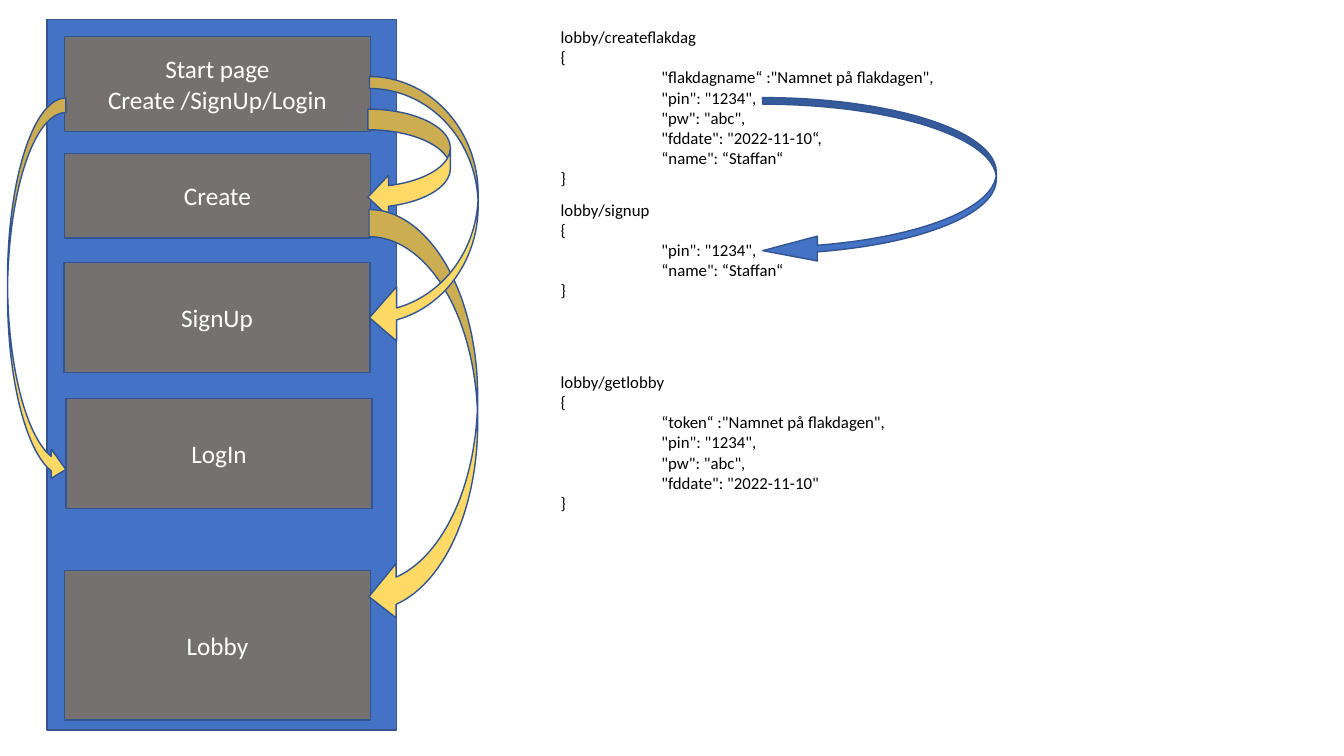
import pptx
import pptx.util
import pptx.dml.color
import pptx.enum.shapes
import pptx.enum.text
import pptx.oxml.ns
import lxml.etree

Cm = pptx.util.Cm
MSO_SHAPE = pptx.enum.shapes.MSO_SHAPE
BLUE, GRAY, YELLOW, OUTLINE = "4472C4", "767171", "FFD966", "325491"
PAGE_WIDTH = 7.72
REQUEST_LEFT = 13.88
FIELD_TAB = 2.54

# left, top, height, text
PAGES = [
    (1.62, 0.92, 2.39, ["Start page", "Create /SignUp/Login"]),
    (1.62, 3.87, 2.13, ["Create"]),
    (1.61, 6.62, 2.77, ["SignUp"]),
    (1.62, 14.38, 3.76, ["Lobby"]),
]
LOGIN_PAGE = (1.66, 10.04, 2.77, ["LogIn"])

# box, rotation, flips, adjustments
PAGE_ARROWS = [
    ((8.94, 3.08, 2.74, 2.08), 90, (), ()),
    ((5.45, 9.13, 10.44, 2.74), 270, ("flipH", "flipV"), ()),
    ((-3.94, 6.6, 9.73, 1.47), 90, ("flipV",), ()),
    ((7.3, 3.94, 6.76, 2.74), 90, (), (0.11, 0.5, 0.25)),
]
PIN_ARROW = ((20.08, 1.6, 4.17, 5.89), 90, (), (0.04, 0.15, 0.33))

# top, width, height, address, fields
REQUESTS = [
    (0.55, 10.01, 4.37, "lobby/createflakdag", [
        '"flakdagname“ :"Namnet på flakdagen",',
        '"pin": "1234",',
        '"pw": "abc",',
        '"fddate": "2022-11-10“,',
        '“name": “Staffan“',
    ]),
    (4.9, 6.17, 2.82, "lobby/signup", [
        '"pin": "1234",',
        '“name": “Staffan“',
    ]),
    (9.24, 8.76, 3.84, "lobby/getlobby", [
        '“token“ :"Namnet på flakdagen",',
        '"pin": "1234",',
        '"pw": "abc",',
        '"fddate": "2022-11-10"',
    ]),
]


def rgb(color):
    return pptx.dml.color.RGBColor.from_string(color)


def set_attrs(obj, formats):
    for name, value in formats.items():
        setattr(obj, name, value)


def write_lines(tf, lines, size, color, align):
    for i, line in enumerate(lines):
        p = tf.paragraphs[0] if i == 0 else tf.add_paragraph()
        p.alignment = align
        r = p.add_run()
        r.text = line
        set_attrs(r.font, {"name": "Calibri", "size": pptx.util.Pt(size)})
        r.font.color.rgb = rgb(color)


def set_tab_stop(p, position):
    qn = pptx.oxml.ns.qn
    pPr = p._p.get_or_add_pPr()
    pPr.set("defTabSz", str(Cm(position)))
    tabs = lxml.etree.SubElement(pPr, qn("a:tabLst"))
    lxml.etree.SubElement(tabs, qn("a:tab"), pos=str(Cm(position)), algn="l")


def add_shape(slide, kind, box, fill):
    sp = slide.shapes.add_shape(kind, *map(Cm, box))
    sp.shadow.inherit = False
    sp.fill.solid()
    sp.fill.fore_color.rgb = rgb(fill)
    sp.line.color.rgb = rgb(OUTLINE)
    sp.line.width = pptx.util.Pt(1)
    return sp


def add_page(slide, left, top, height, lines):
    sp = add_shape(slide, MSO_SHAPE.RECTANGLE, (left, top, PAGE_WIDTH, height), GRAY)
    sp.text_frame.vertical_anchor = pptx.enum.text.MSO_ANCHOR.MIDDLE
    write_lines(sp.text_frame, lines, 18, "FFFFFF", pptx.enum.text.PP_ALIGN.CENTER)


def add_curved_arrow(slide, fill, box, rotation, flips, adjustments):
    sp = add_shape(slide, MSO_SHAPE.CURVED_DOWN_ARROW, box, fill)
    sp.rotation = rotation
    for flip in flips:
        sp._element.spPr.xfrm.set(flip, "1")
    for i, value in enumerate(adjustments):
        sp.adjustments[i] = value


def add_request(slide, top, width, height, address, fields):
    """Write an address and its braced body, one tab-indented field a line."""
    box = slide.shapes.add_textbox(*map(Cm, (REQUEST_LEFT, top, width, height)))
    tf = box.text_frame
    set_attrs(tf, {
        "word_wrap": False,
        "auto_size": pptx.enum.text.MSO_AUTO_SIZE.SHAPE_TO_FIT_TEXT,
    })
    lines = [address, "{", *("\t" + field for field in fields), "}"]
    write_lines(tf, lines, 12, "000000", pptx.enum.text.PP_ALIGN.LEFT)
    for p in tf.paragraphs:
        set_tab_stop(p, FIELD_TAB)


def main():
    prs = pptx.Presentation()
    set_attrs(prs, {"slide_width": Cm(33.87), "slide_height": Cm(19.05)})
    slide = prs.slides.add_slide(prs.slide_layouts[6])

    add_curved_arrow(slide, BLUE, *PIN_ARROW)
    add_shape(slide, MSO_SHAPE.RECTANGLE, (1.19, 0.49, 8.81, 17.91), BLUE)
    for page in PAGES:
        add_page(slide, *page)
    for arrow in PAGE_ARROWS:
        add_curved_arrow(slide, YELLOW, *arrow)
    for request in REQUESTS:
        add_request(slide, *request)
    add_page(slide, *LOGIN_PAGE)

    prs.save("out.pptx")


if __name__ == "__main__":
    main()
